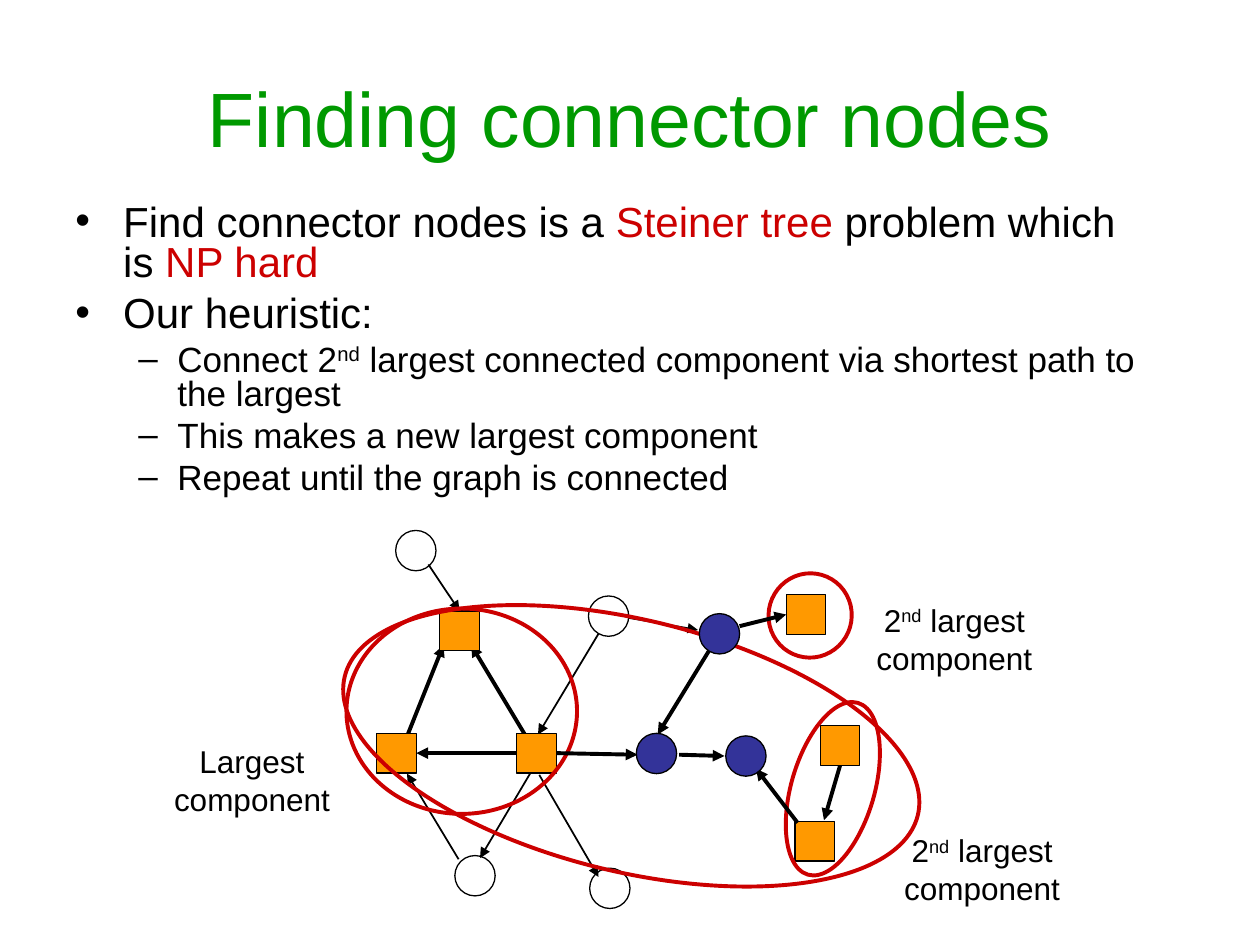
from dataclasses import dataclass
from typing import Optional

from lxml.etree import SubElement
from pptx import Presentation
from pptx.dml.color import RGBColor
from pptx.enum.shapes import MSO_CONNECTOR, MSO_SHAPE
from pptx.enum.text import MSO_ANCHOR, MSO_AUTO_SIZE, PP_ALIGN
from pptx.oxml.ns import qn
from pptx.util import Inches, Pt

# Grid: 100 columns by 75 rows, square cells
WIDE, HIGH, COLS = 10, 7.5, 100
BLACK, RED, GREEN = "000000", "CC0000", "009900"
ORANGE, BLUE, WHITE = "FF9900", "333399", "FFFFFF"
THIN, THICK, EDGE = 1, 2.25, 0.75
SIDE, DISC = 3.15, 3.2
TOP, LEFT, BASE, RIGHT = range(4)


@dataclass
class Node:
    col: float
    row: float
    fill: Optional[str] = None


@dataclass
class Loop:
    col: float
    row: float
    wide: float
    high: float
    turn: float = 0


@dataclass
class Link:
    start: tuple
    end: tuple
    width: float = THIN
    tail: Optional[tuple] = None  # square and side at the start
    head: Optional[tuple] = None  # square and side at the end


@dataclass
class Run:
    text: str
    tone: str = BLACK
    sup: bool = False


@dataclass
class Point:
    runs: list
    deep: bool = False


@dataclass
class Label:
    col: float
    row: float
    wide: float
    runs: list


SQUARES = {
    "peak": Node(34.9, 48.5, ORANGE),
    "west": Node(29.9, 58.2, ORANGE),
    "east": Node(41, 58.2, ORANGE),
    "lone": Node(62.4, 47.2, ORANGE),
    "low": Node(63.1, 65.2, ORANGE),
    "high": Node(65.1, 57.6, ORANGE),
}
OPEN = [Node(36.1, 67.9), Node(46.8, 68.9), Node(46.7, 47.3, WHITE),
        Node(31.4, 42.1)]
PATH = [Node(50.5, 58.2, BLUE), Node(55.5, 48.7, BLUE), Node(57.6, 58.4, BLUE)]
LOOPS = [Loop(27.5, 48.3, 18.3, 16.3), Loop(62.8, 55.5, 6.6, 14.2, 16.2),
         Loop(26.7, 49.2, 46.8, 20, 13.6), Loop(61, 45.5, 6.6, 6.7, 16.2)]
BACK = [
    Link((42.9, 60), (38.1, 68.1)),
    Link((42.2, 59.2), (37.4, 51.2), THICK),
    Link((34, 44.8), (36.3, 48.7), head=("peak", TOP)),
    Link((36.4, 68.2), (32.3, 61.4)),
    Link((32, 59.2), (35.2, 51.2), THICK),
    Link((49.1, 48.9), (55.4, 50)),
    Link((47.5, 50.3), (42.7, 58.3)),
    Link((42.8, 61.5), (47.5, 69.6)),
    Link((41.1, 59.6), (33.1, 59.6), THICK, ("east", LEFT), ("west", RIGHT)),
    Link((66.8, 60.5), (65.4, 65.1), THICK, tail=("high", BASE)),
]
FRONT = [
    Link((63.3, 65.3), (60, 61), THICK),
    Link((44.3, 59.9), (50.6, 59.9), THICK, tail=("east", RIGHT)),
    Link((56.3, 51.6), (52.2, 58.3), THICK),
    Link((58.7, 49.7), (62.2, 48.7), THICK, head=("lone", LEFT)),
    Link((53.9, 59.9), (57.5, 60), THICK),
]
SECOND = [Run("2"), Run("nd", sup=True), Run(" largest component")]
LABELS = [Label(12.5, 58.4, 15, [Run("Largest component")]),
          Label(68.8, 65.5, 18.3, SECOND), Label(66.6, 47.2, 18.3, SECOND)]
POINTS = [
    Point([Run("Find connector nodes is a "), Run("Steiner tree", RED),
           Run(" problem which is "), Run("NP hard", RED)]),
    Point([Run("Our heuristic:")]),
    Point([Run("Connect 2"), Run("nd", sup=True),
           Run(" largest connected component via shortest path to the largest")],
          True),
    Point([Run("This makes a new largest component")], True),
    Point([Run("Repeat until the graph is connected")], True),
]


def cell(count: float) -> int:
    return Inches(count * WIDE / COLS)


def hue(code: str) -> RGBColor:
    return RGBColor.from_string(code)


def apply(item, style: dict) -> None:
    for name, value in style.items():
        setattr(item, name, value)


def write(para, runs: list, size: float) -> None:
    for part in runs:
        run = para.add_run()
        run.text = part.text
        apply(run.font, {"size": Pt(size), "name": "Arial"})
        run.font.color.rgb = hue(part.tone)
        if part.sup:
            run.font._element.set("baseline", "30000")


def draw(slide, kind, box: tuple, fill: Optional[str], line: str,
         width: float, turn: float = 0):
    shape = slide.shapes.add_shape(kind, *map(cell, box))
    shape.shadow.inherit = False
    shape.rotation = turn
    if fill:
        shape.fill.solid()
        shape.fill.fore_color.rgb = hue(fill)
    else:
        shape.fill.background()
    shape.line.color.rgb = hue(line)
    shape.line.width = Pt(width)
    return shape


def disc(slide, node: Node) -> None:
    draw(slide, MSO_SHAPE.OVAL, (node.col, node.row, DISC, DISC),
         node.fill, BLACK, EDGE)


def arrow(slide, link: Link):
    line = slide.shapes.add_connector(
        MSO_CONNECTOR.STRAIGHT, *map(cell, link.start + link.end))
    line.line.color.rgb = hue(BLACK)
    line.line.width = Pt(link.width)
    SubElement(line.line._get_or_add_ln(), qn("a:tailEnd"), type="triangle")
    SubElement(line._element.spPr, qn("a:effectLst"))
    return line


def bullet(para, deep: bool) -> None:
    props = para._p.get_or_add_pPr()
    hang, mark = ((0.81, -0.31), "–") if deep else ((0.38, -0.38), "•")
    for name, value in zip(("marL", "indent"), hang):
        props.set(name, str(Inches(value)))
    SubElement(props, qn("a:buFont"), typeface="Arial")
    SubElement(props, qn("a:buChar"), char=mark)


def block(slide, box: tuple):
    frame = slide.shapes.add_textbox(*map(cell, box)).text_frame
    frame.word_wrap = True
    return frame


def main() -> None:
    deck = Presentation()
    apply(deck, {"slide_width": Inches(WIDE), "slide_height": Inches(HIGH)})
    slide = deck.slides.add_slide(deck.slide_layouts[5])

    # Title
    title = slide.shapes.title
    apply(title, {"left": cell(5), "top": cell(3),
                  "width": cell(90), "height": cell(12.5)})
    title.text_frame.vertical_anchor = MSO_ANCHOR.MIDDLE
    head = title.text_frame.paragraphs[0]
    head.alignment = PP_ALIGN.CENTER
    write(head, [Run("Finding connector nodes", GREEN)], 44)

    # Bullet points
    frame = block(slide, (5, 15.8, 86.7, 25.8))
    for num, point in enumerate(POINTS):
        para = frame.add_paragraph() if num else frame.paragraphs[0]
        bullet(para, point.deep)
        gap = (5 if point.deep else 6) if num else 0
        apply(para, {"level": int(point.deep), "line_spacing": 0.8,
                     "space_before": Pt(gap)})
        write(para, point.runs, 20 if point.deep else 24)

    # Graph, from back to front
    lines = [(link, arrow(slide, link)) for link in BACK]
    for node in OPEN:
        disc(slide, node)
    boxes = {name: draw(slide, MSO_SHAPE.RECTANGLE,
                        (node.col, node.row, SIDE, SIDE), node.fill, BLACK, EDGE)
             for name, node in SQUARES.items()}
    for loop in LOOPS:
        draw(slide, MSO_SHAPE.OVAL, (loop.col, loop.row, loop.wide, loop.high),
             None, RED, THICK, loop.turn)
    lines += [(link, arrow(slide, link)) for link in FRONT]
    for node in PATH:
        disc(slide, node)

    # Joints at the squares
    for link, line in lines:
        for spot, join in ((link.tail, line.begin_connect),
                           (link.head, line.end_connect)):
            if spot:
                join(boxes[spot[0]], spot[1])

    # Component labels
    for label in LABELS:
        frame = block(slide, (label.col, label.row, label.wide, 7))
        frame.auto_size = MSO_AUTO_SIZE.SHAPE_TO_FIT_TEXT
        frame.paragraphs[0].alignment = PP_ALIGN.CENTER
        write(frame.paragraphs[0], label.runs, 18)

    deck.save("out.pptx")


if __name__ == "__main__":
    main()
